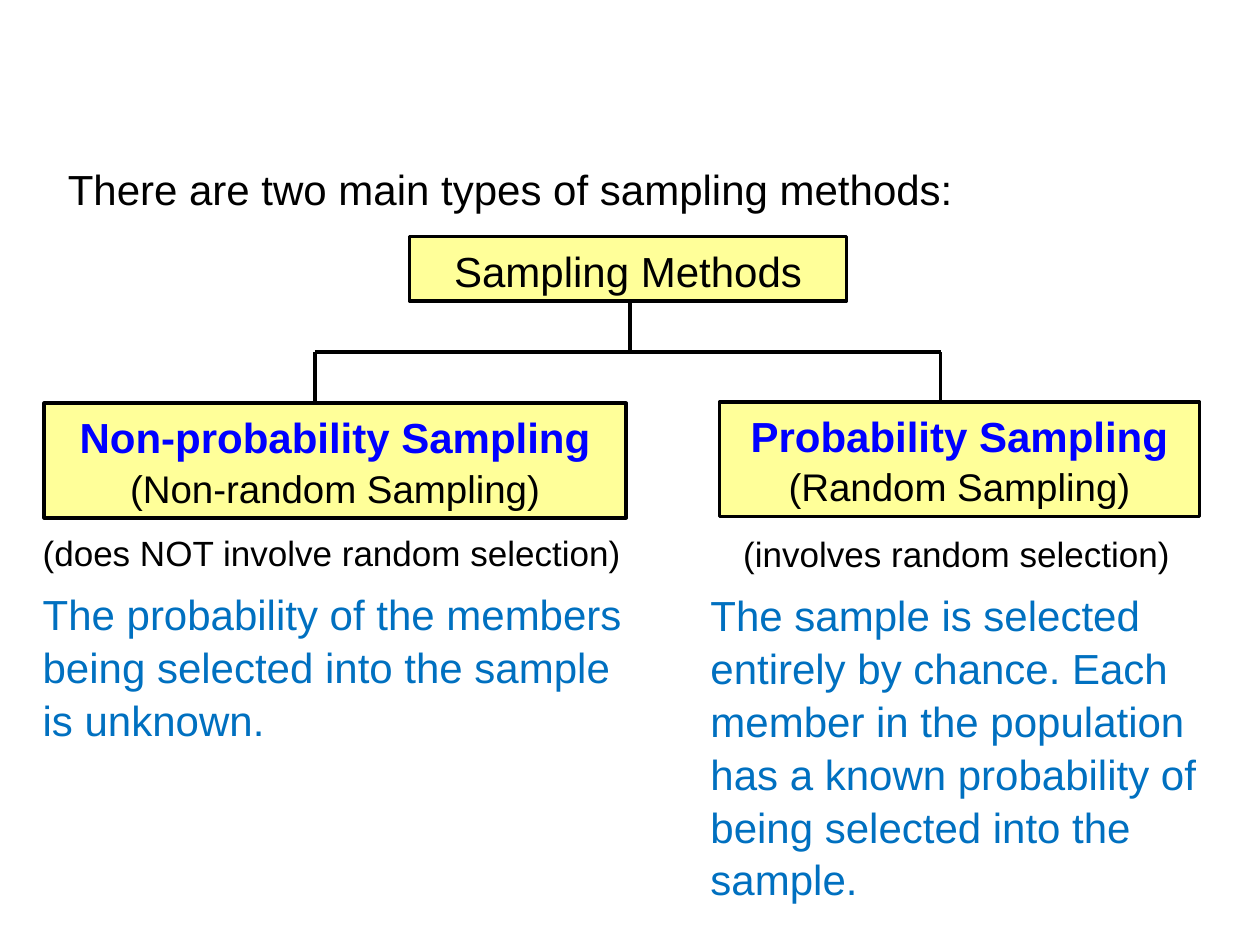
from lxml import etree
from pptx import Presentation
from pptx.dml.color import RGBColor
from pptx.enum import shapes, text
from pptx.oxml.ns import qn
from pptx.util import Pt

BLACK = RGBColor(0x00, 0x00, 0x00)
BLUE = RGBColor(0x00, 0x00, 0xFF)
SKY = RGBColor(0x00, 0x70, 0xC0)
YELLOW = RGBColor(0xFF, 0xFF, 0x99)


def write(sp, lines, align, wrap=True):
    """Fill a shape with one paragraph per (text, size, colour, bold) line."""
    tf = sp.text_frame
    tf.word_wrap = wrap
    tf.auto_size = text.MSO_AUTO_SIZE.SHAPE_TO_FIT_TEXT
    tf.vertical_anchor = text.MSO_ANCHOR.TOP
    for i, (words, size, colour, bold) in enumerate(lines):
        p = tf.add_paragraph() if i else tf.paragraphs[0]
        p.alignment = align
        p.line_spacing = 1.05
        r = p.add_run()
        r.text = words
        r.font.name = "Arial"
        r.font.size = Pt(size)
        r.font.bold = bold
        r.font.color.rgb = colour


prs = Presentation()
prs.slide_width, prs.slide_height = Pt(720), Pt(540)
s = prs.slides.add_slide(prs.slide_layouts[6])

# Boxes of the tree
boxes = [
    (234, 135.2, 249.8, 36.7, [("Sampling Methods", 24, BLACK, False)]),
    (25.2, 230.4, 332.6, 65.5, [("Non-probability Sampling", 24, BLUE, True),
                                ("(Non-random Sampling)", 22, BLACK, False)]),
    (411.1, 229.7, 274.3, 65.5, [("Probability Sampling", 24, BLUE, True),
                                 ("(Random Sampling)", 22, BLACK, False)]),
]
for x, y, w, h, lines in boxes:
    sp = s.shapes.add_shape(shapes.MSO_SHAPE.RECTANGLE, Pt(x), Pt(y), Pt(w), Pt(h))
    sp.shadow.inherit = False
    sp.fill.solid()
    sp.fill.fore_color.rgb = YELLOW
    sp.line.color.rgb = BLACK
    sp.line.width = Pt(2)
    write(sp, lines, text.PP_ALIGN.CENTER)

# Branches: trunk, crossbar and two drops
trunk_x, left_x, right_x = 360, 180, 537.5
top_y, bar_y, drop_y = 171.5, 201.2, 229.7
branches = s.shapes.add_group_shape()
for x1, y1, x2, y2 in [(trunk_x, top_y, trunk_x, bar_y),
                       (left_x, bar_y, right_x, bar_y),
                       (left_x, bar_y, left_x, drop_y),
                       (right_x, bar_y, right_x, drop_y)]:
    line = branches.shapes.add_connector(
        shapes.MSO_CONNECTOR.STRAIGHT, Pt(x1), Pt(y1), Pt(x2), Pt(y2))
    line.line.color.rgb = BLACK
    line.line.width = Pt(2)
    etree.SubElement(line._element.spPr, qn("a:effectLst"))

# Introduction, captions and explanations
texts = [
    (31.7, 88.6, 640, 36, 24, BLACK, True,
     "There are two main types of sampling methods:"),
    (17.3, 298.8, 347, 31.7, 20, BLACK, False,
     "(does NOT involve random selection)"),
    (417.6, 299.5, 260, 31.7, 20, BLACK, False,
     "(involves random selection)"),
    (17.3, 331.2, 351.4, 94.3, 24, SKY, True,
     "The probability of the members being selected into the sample is unknown."),
    (398.9, 331.9, 318.2, 181.4, 24, SKY, True,
     "The sample is selected entirely by chance. Each member in the population "
     "has a known probability of being selected into the sample."),
]
for x, y, w, h, size, colour, wrap, words in texts:
    sp = s.shapes.add_textbox(Pt(x), Pt(y), Pt(w), Pt(h))
    write(sp, [(words, size, colour, False)], text.PP_ALIGN.LEFT, wrap)

prs.save("out.pptx")
